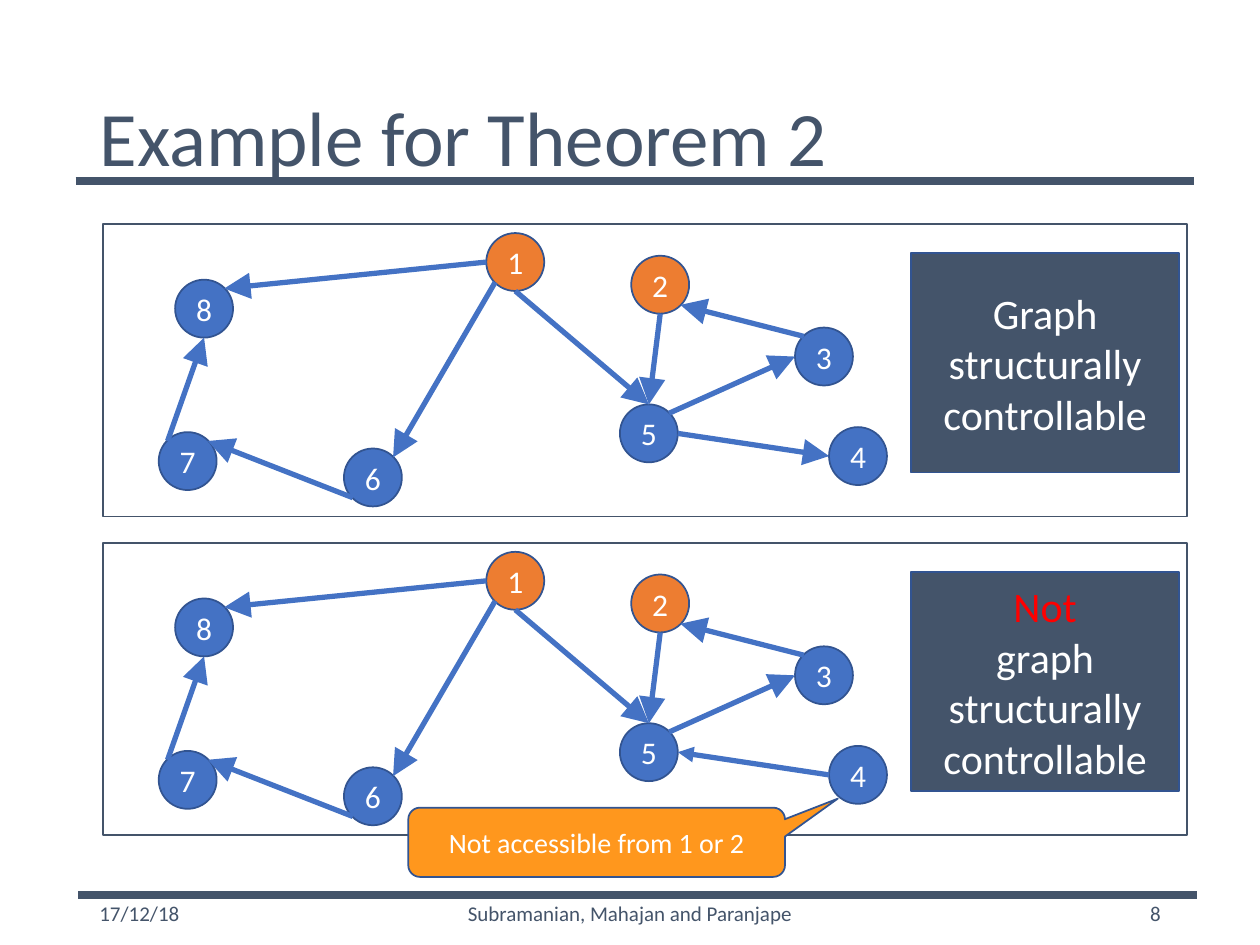
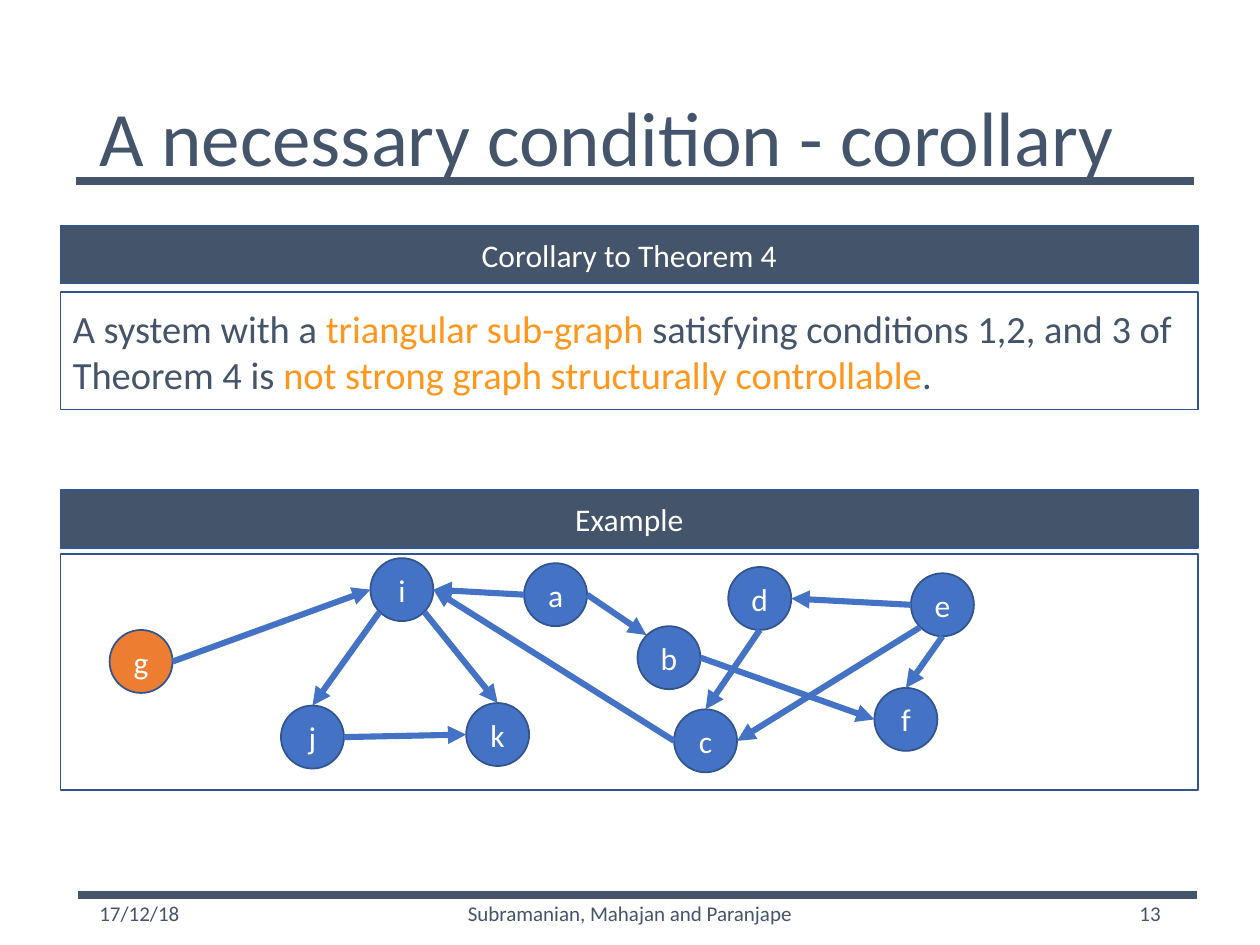
"""Build two slides on structural controllability of graphs."""
from math import sqrt

from lxml import etree
from pptx import Presentation
from pptx.dml.color import RGBColor
from pptx.enum.shapes import MSO_CONNECTOR, MSO_SHAPE as SHAPE
from pptx.enum.text import MSO_ANCHOR as ANCHOR, MSO_AUTO_SIZE, PP_ALIGN as ALIGN
from pptx.oxml.ns import qn
from pptx.util import Emu, Pt

PX = 9144
FONT = "Calibri"
COLORS = {
    "slate": "44546A", "blue": "4472C4", "edge": "325491", "band": "2F5597",
    "orange": "ED7D31", "amber": "FF971D", "red": "FF0000", "white": "FFFFFF",
}
RGB = {name: RGBColor.from_string(value) for name, value in COLORS.items()}
D = 1 / sqrt(2)
PORTS = {
    "n": (0, -1), "ne": (D, -D), "e": (1, 0), "se": (D, D),
    "s": (0, 1), "sw": (-D, D), "w": (-1, 0), "nw": (-D, -D),
}


def write(p, text, size=18, color="white", align=ALIGN.CENTER):
    """Add a formatted run to a paragraph."""
    p.alignment = align
    r = p.add_run()
    r.text = text
    r.font.name, r.font.size = FONT, Pt(size)
    r.font.color.rgb = RGB[color]


def box(s, kind, at, text="", fill=None, line="edge", **fmt):
    """Add an outlined shape with optional fill and text."""
    sp = s.shapes.add_shape(kind, *(Emu(v * PX) for v in at))
    sp.shadow.inherit = False
    if fill:
        sp.fill.solid()
        sp.fill.fore_color.rgb = RGB[fill]
    else:
        sp.fill.background()
    sp.line.color.rgb, sp.line.width = RGB[line], Pt(1)
    sp.text_frame.vertical_anchor = ANCHOR.MIDDLE
    if text:
        write(sp.text_frame.paragraphs[0], text, **fmt)
    return sp


prs = Presentation()
prs.slide_width, prs.slide_height = Emu(1000 * PX), Emu(750 * PX)
lines = []
slides = []

for title, number in [("Example for Theorem 2", "8"),
                      ("A necessary condition - corollary", "13")]:
    s = prs.slides.add_slide(prs.slide_layouts[5])
    slides.append(s)
    sp = s.shapes.title
    sp.left, sp.top, sp.width, sp.height = (Emu(v * PX) for v in (69, 40, 862, 145))
    tf = sp.text_frame
    tf.auto_size, tf.vertical_anchor = MSO_AUTO_SIZE.NONE, ANCHOR.MIDDLE
    tf.paragraphs[0].line_spacing = 0.9
    write(tf.paragraphs[0], title, size=44, color="slate", align=ALIGN.LEFT)
    for left, width, text, align in [
            (69, 225, "17/12/18", ALIGN.LEFT),
            (331, 338, "Subramanian, Mahajan and Paranjape", ALIGN.CENTER),
            (706, 225, number, ALIGN.RIGHT)]:
        tf = s.shapes.add_textbox(*(Emu(v * PX) for v in (left, 705, width, 40))).text_frame
        tf.word_wrap, tf.vertical_anchor = True, ANCHOR.MIDDLE
        write(tf.paragraphs[0], text, size=12, color="slate", align=align)
    for left, y in [(60, 144), (62, 710)]:
        lines.append((s, (left, y), (left + 888, y), "slate", 4.5, None))

theorem, corollary = slides

for top in (178, 431):
    box(theorem, SHAPE.RECTANGLE, (82, top, 860, 232), line="slate")
verdict = (723, 201, 213, 174)
box(theorem, SHAPE.RECTANGLE, verdict, "Graph structurally controllable", "slate", size=24)
sp = box(theorem, SHAPE.RECTANGLE, (723, 454, 213, 174), "Not", "slate", size=24, color="red")
write(sp.text_frame.add_paragraph(), "graph structurally controllable", size=24)

for top, text in [(179, "Corollary to Theorem 4"), (389, "Example")]:
    box(corollary, SHAPE.RECTANGLE, (48, top, 903, 46), text, "slate", "band")
box(corollary, SHAPE.RECTANGLE, (48, 440, 903, 187))
sp = box(corollary, SHAPE.RECTANGLE, (48, 232, 903, 93))
for text, color in [
        ("A system with a ", "slate"), ("triangular sub-graph", "amber"),
        (" satisfying conditions 1,2, and 3 of Theorem 4 is ", "slate"),
        ("not strong graph structurally controllable", "amber"), (".", "slate")]:
    write(sp.text_frame.paragraphs[0], text, size=22, color=color, align=ALIGN.LEFT)

numbered = {"1": (386, 185), "2": (501, 203), "3": (631, 260), "4": (658, 339),
            "5": (492, 321), "6": (273, 356), "7": (126, 343), "8": (139, 222)}
lettered = {"a": (416, 447), "b": (506, 497), "c": (535, 563), "d": (578, 450),
            "e": (723, 455), "f": (694, 546), "g": (87, 500), "i": (294, 443),
            "j": (223, 560), "k": (370, 558)}
shared_edges = ["1 w 8 ne", "1 sw 6 ne", "6 sw 7 ne", "7 nw 8 s", "1 s 5 n",
                "5 ne 3 w", "3 nw 2 se", "2 s 5 n"]
letter_edges = ["i sw j n", "j e k w", "i se k n", "g e i w", "a e b nw", "a w i e",
                "b e f w", "e s f n", "e w d e", "d s c n", "e sw c e", "c w i e"]

for s, nodes, drop, size, inputs, width, head, edges in [
        (theorem, numbered, 0, 46, "12", 3, "lg", shared_edges + ["5 e 4 w"]),
        (theorem, numbered, 253, 46, "12", 3, "lg", shared_edges),
        (theorem, numbered, 253, 46, "", 3, "med", ["4 w 5 e"]),
        (corollary, lettered, 0, 50, "g", 3.5, "med", letter_edges)]:
    if inputs:
        for name, (x, y) in nodes.items():
            box(s, SHAPE.OVAL, (x, y + drop, size, size), name,
                "orange" if name in inputs else "blue")
    for edge in edges:
        start, out, end, into = edge.split()
        ends = [tuple(round(v + size / 2 * (1 + d)) for v, d in zip(nodes[n], PORTS[port]))
                for n, port in ((start, out), (end, into))]
        (x1, y1), (x2, y2) = ends
        lines.append((s, (x1, y1 + drop), (x2, y2 + drop), "blue", width, head))

for s, start, end, color, width, head in lines:
    cx = s.shapes.add_connector(MSO_CONNECTOR.STRAIGHT, *(Emu(v * PX) for v in start + end))
    cx.line.color.rgb, cx.line.width = RGB[color], Pt(width)
    if head:
        etree.SubElement(cx.line._get_or_add_ln(), qn("a:tailEnd"),
                         type="triangle", w=head, len=head)
    etree.SubElement(cx._element.spPr, qn("a:effectLst"))

sp = box(theorem, SHAPE.ROUNDED_RECTANGULAR_CALLOUT, (324, 641, 299, 55),
         "Not accessible from 1 or 2", "amber", size=16)
sp.adjustments[0], sp.adjustments[1], sp.adjustments[2] = 0.64, -0.63, 0.17

prs.save("out.pptx")
